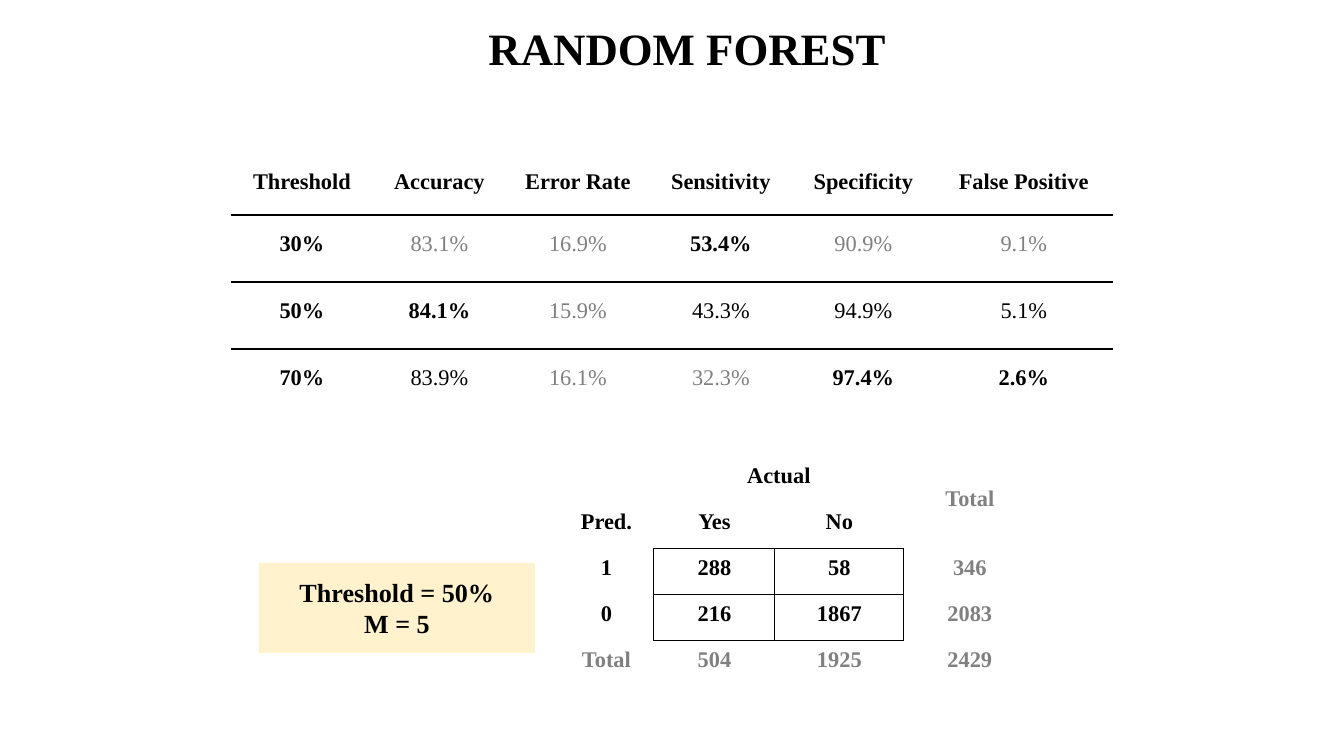
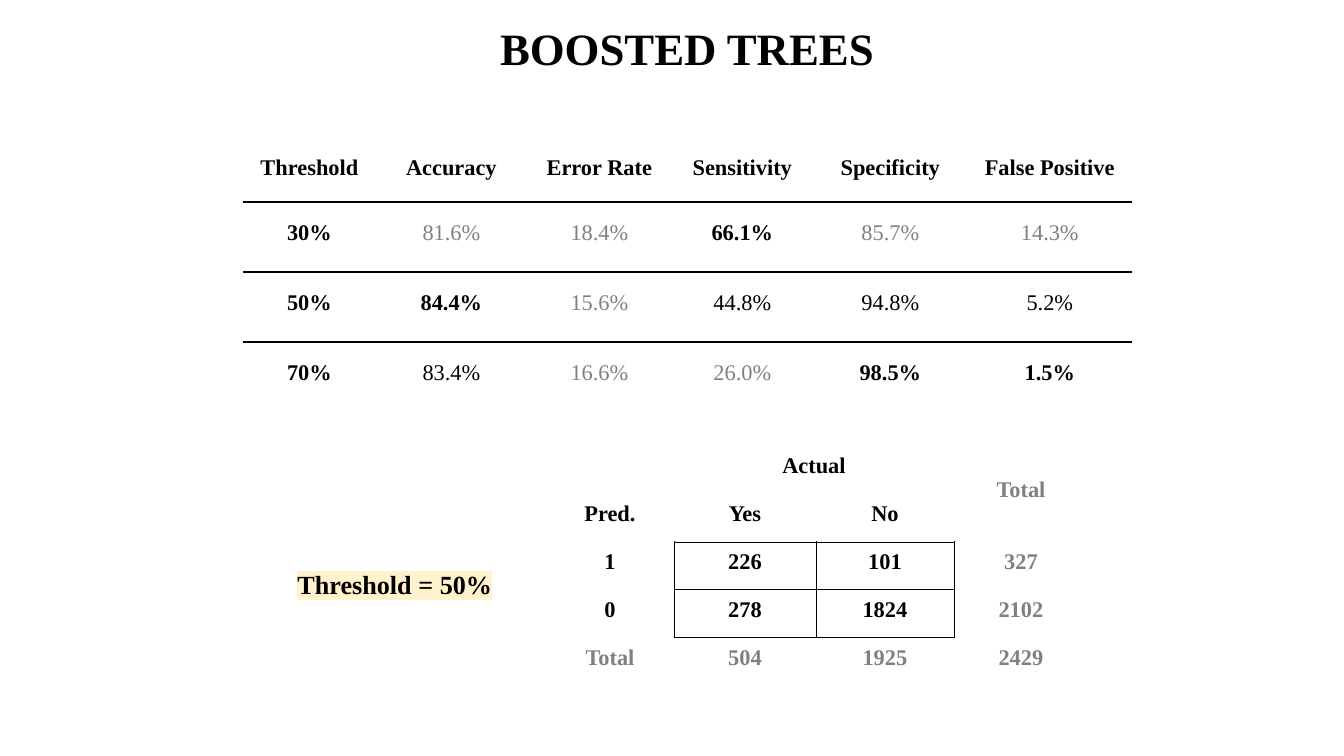
"""Build two slides that compare classifiers by threshold and confusion matrix."""
import lxml.etree
import pptx
import pptx.dml.color
import pptx.enum.shapes
import pptx.enum.text
import pptx.oxml.ns
import pptx.util

HEADS = ["Threshold", "Accuracy", "Error Rate", "Sensitivity", "Specificity", "False Positive"]
MODELS = [
    {
        "title": "RANDOM FOREST",
        "rates": [
            ["*30%", "~83.1%", "~16.9%", "*53.4%", "~90.9%", "~9.1%"],
            ["*50%", "*84.1%", "~15.9%", "43.3%", "94.9%", "5.1%"],
            ["*70%", "83.9%", "~16.1%", "~32.3%", "*97.4%", "*2.6%"],
        ],
        "rate_at": (231, 157),
        "rate_cols": [142, 133, 144, 142, 143, 178],
        "rate_rows": [58, 67, 67, 67],
        "counts": [[288, 58], [216, 1867]],
        "count_at": (559, 457),
        "count_cols": [95, 121, 129, 132],
        "count_row": 46,
        "note": ["Threshold = 50%", "M = 5"],
        "note_at": (259, 563, 276, 90),
        "panel": True,
    },
    {
        "title": "BOOSTED TREES",
        "rates": [
            ["*30%", "~81.6%", "~18.4%", "*66.1%", "~85.7%", "~14.3%"],
            ["*50%", "*84.4%", "~15.6%", "44.8%", "94.8%", "5.2%"],
            ["*70%", "83.4%", "~16.6%", "~26.0%", "*98.5%", "*1.5%"],
        ],
        "rate_at": (243, 142),
        "rate_cols": [133, 151, 145, 141, 155, 164],
        "rate_rows": [60, 70, 70, 70],
        "counts": [[226, 101], [278, 1824]],
        "count_at": (546, 446),
        "count_cols": [128, 142, 138, 134],
        "count_row": 48,
        "note": ["Threshold = 50%"],
        "note_at": (257, 555, 276, 59),
        "panel": False,
    },
]

SIZE = (1344, 756)
TITLE_AT = (359, 8, 656, 82)
FONT = "Times New Roman"
BLACK, GREY, WHITE, CREAM = "000000", "808080", "FFFFFF", "FFF2CC"
PLAIN = "{2D5ABB26-0587-4C30-8999-92F81FD0307C}"
STEPS = {"L": (0, -1), "R": (0, 1), "T": (-1, 0), "B": (1, 0)}
STYLES = {"*": (BLACK, True), "~": (GREY, False), "#": (GREY, True)}
SIDES = ("left", "right", "top", "bottom")
CENTER = pptx.enum.text.PP_ALIGN.CENTER


def px(num):
    return round(num * 914400 / 134.4)


def paint(obj, hue):
    obj.rgb = pptx.dml.color.RGBColor.from_string(hue)


def put(obj, vals):
    for key, val in vals.items():
        setattr(obj, key, val)


def node(root, tag, **vals):
    return lxml.etree.SubElement(root, pptx.oxml.ns.qn("a:" + tag), **vals)


def write(para, text, size, hue=BLACK, bold=True, mark=None):
    para.alignment = CENTER
    run = para.add_run()
    run.text = text
    put(run.font, {"size": pptx.util.Pt(size), "bold": bold, "name": FONT})
    paint(run.font.color, hue)
    if mark:
        props = run.font._element
        glow = node(props, "highlight")
        node(glow, "srgbClr", val=mark)
        props.find(pptx.oxml.ns.qn("a:solidFill")).addnext(glow)


def label(slide, spot, lines, size, mark=None, panel=False):
    spot = [px(num) for num in spot]
    if panel:
        shape = slide.shapes.add_shape(pptx.enum.shapes.MSO_SHAPE.RECTANGLE, *spot)
        shape.shadow.inherit = False
        shape.fill.solid()
        paint(shape.fill.fore_color, CREAM)
        shape.line.fill.background()
    else:
        shape = slide.shapes.add_textbox(*spot)
    frame = shape.text_frame
    put(frame, {"margin_" + side: px(13) for side in SIDES})
    put(frame, {
        "word_wrap": True,
        "vertical_anchor": pptx.enum.text.MSO_ANCHOR.TOP,
        "auto_size": pptx.enum.text.MSO_AUTO_SIZE.SHAPE_TO_FIT_TEXT,
    })
    for num, line in enumerate(lines):
        para = frame.add_paragraph() if num else frame.paragraphs[0]
        write(para, line, size, mark=mark)


def edge(cell, side, width):
    line = node(cell._tc.get_or_add_tcPr(), "ln" + side, w=str(pptx.util.Pt(width)))
    node(node(line, "solidFill"), "srgbClr", val=BLACK)


def fill(cell, text):
    cell.fill.solid()
    paint(cell.fill.fore_color, WHITE)
    put(cell, {"margin_" + side: px(1) for side in SIDES})
    put(cell, {"margin_bottom": px(13), "vertical_anchor": pptx.enum.text.MSO_ANCHOR.MIDDLE})
    para = cell.text_frame.paragraphs[0]
    para.line_spacing = 1.15
    if text:
        hue, bold = STYLES.get(text[0], (BLACK, False))
        write(para, text.lstrip("*~#"), 12, hue, bold)
    else:
        node(para._p, "endParaRPr", sz="1200")


def grid(slide, spot, cols, rows, cells, ruled, sides, width, merges=()):
    dims = [px(num) for num in (*spot, sum(cols), sum(rows))]
    table = slide.shapes.add_table(len(rows), len(cols), *dims).table
    put(table, {"first_row": False, "horz_banding": False})
    table._tbl.tblPr[0].text = PLAIN
    for col, num in zip(table.columns, cols):
        col.width = px(num)
    for row, num in zip(table.rows, rows):
        row.height = px(num)
    for row, texts in enumerate(cells):
        for col, text in enumerate(texts):
            cell = table.cell(row, col)
            for side in sides:
                down, over = STEPS[side]
                if ruled(row, col) or ruled(row + down, col + over):
                    edge(cell, side, width)
            fill(cell, text)
    for first, last in merges:
        table.cell(*first).merge(table.cell(*last))


def matrix(counts):
    body = [
        ["*" + name] + [f"*{num}" for num in nums] + [f"#{sum(nums)}"]
        for name, nums in zip("10", counts)
    ]
    sums = [sum(nums) for nums in zip(*counts)]
    foot = ["#Total"] + [f"#{num}" for num in sums + [sum(sums)]]
    return [["", "*Actual", "", "#Total"], ["*Pred.", "*Yes", "*No", ""], *body, foot]


def build(deck, model):
    slide = deck.slides.add_slide(deck.slide_layouts[6])
    label(slide, TITLE_AT, [model["title"]], 24)
    heads = ["*" + head for head in HEADS]
    grid(slide, model["rate_at"], model["rate_cols"], model["rate_rows"],
         [heads] + model["rates"], lambda row, col: row == 1, "TB", 1)
    cells = matrix(model["counts"])
    grid(slide, model["count_at"], model["count_cols"], [model["count_row"]] * len(cells),
         cells, lambda row, col: row in (2, 3) and col in (1, 2), "LRTB", 0.56,
         [((0, 1), (0, 2)), ((0, 3), (1, 3))])
    label(slide, model["note_at"], model["note"], 14, CREAM, model["panel"])


def main():
    deck = pptx.Presentation()
    put(deck, {"slide_width": px(SIZE[0]), "slide_height": px(SIZE[1])})
    for model in MODELS:
        build(deck, model)
    deck.save("out.pptx")


if __name__ == "__main__":
    main()
